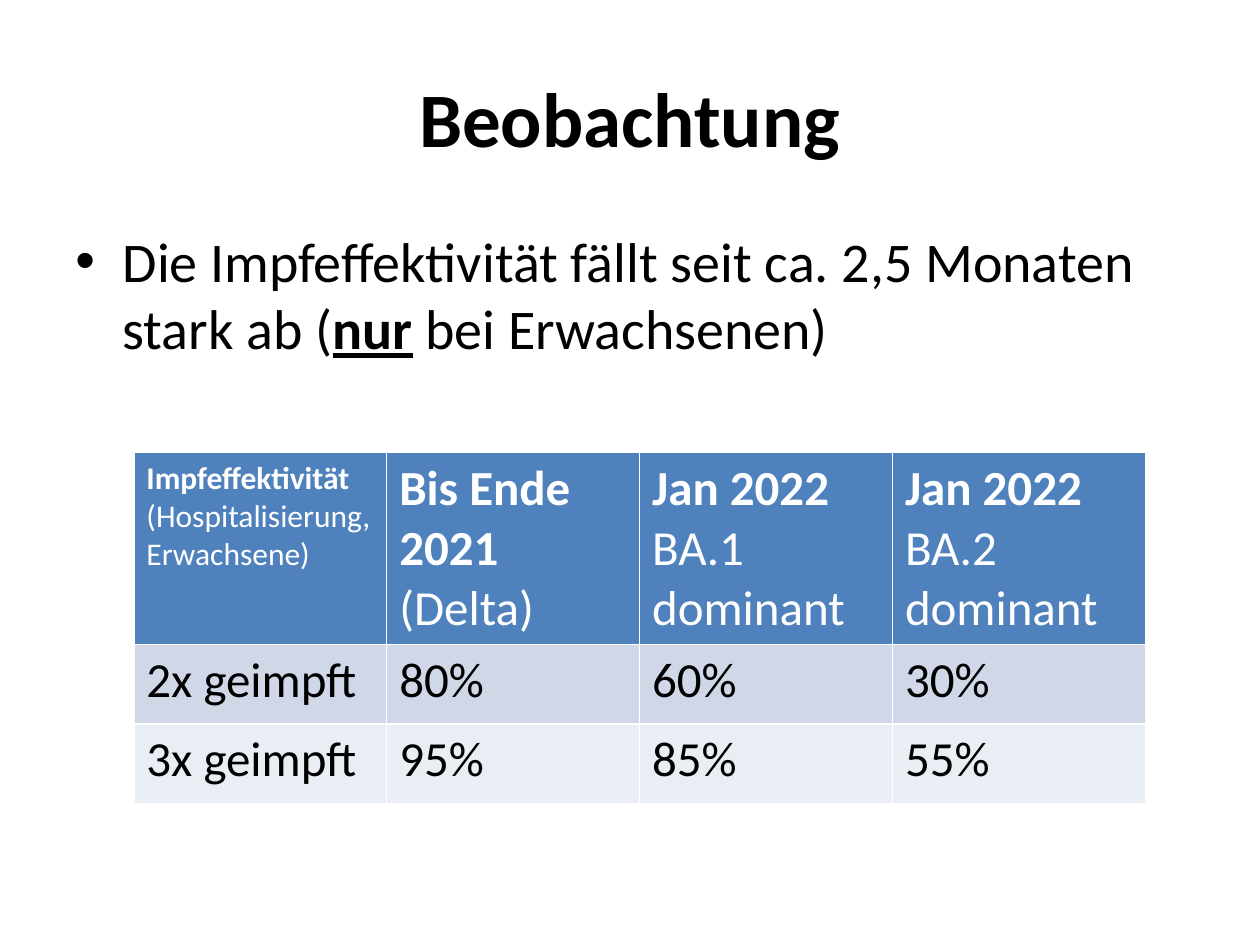
from lxml import etree
from pptx import Presentation
from pptx.dml.color import RGBColor
from pptx.enum.text import MSO_ANCHOR, PP_ALIGN
from pptx.oxml.ns import qn
from pptx.util import Pt

CENTER = PP_ALIGN.CENTER
MIDDLE = MSO_ANCHOR.MIDDLE
FONT = "Calibri"
COLORS = {"text": "000000", "header": "4F81BD", "header_text": "FFFFFF",
          "band1": "D0D8E8", "band2": "E9EDF4"}


def rgb(name):
    return RGBColor.from_string(COLORS[name])


def set_font(p, size, color, bold=False):
    p.font.name = FONT
    p.font.size = Pt(size)
    p.font.bold = bold
    p.font.color.rgb = rgb(color)


prs = Presentation()
prs.slide_width, prs.slide_height = Pt(720), Pt(540)
s = prs.slides.add_slide(prs.slide_layouts[5])

title = s.shapes.title
title.left, title.top, title.width, title.height = Pt(36), Pt(21.6), Pt(648), Pt(90)
tf = title.text_frame
tf.text = "Beobachtung"
tf.vertical_anchor = MIDDLE
p = tf.paragraphs[0]
p.alignment = CENTER
set_font(p, 44, "text", True)

body = s.shapes.add_textbox(Pt(36), Pt(126), Pt(648), Pt(356.4))
tf = body.text_frame
tf.word_wrap = True
p = tf.paragraphs[0]
p.space_before = Pt(6.4)
set_font(p, 32, "text")
for text, emphasis in [
    ("Die Impfeffektivität fällt seit ca. 2,5 Monaten stark ab (", False),
    ("nur", True),
    (" bei Erwachsenen)", False),
]:
    r = p.add_run()
    r.text = text
    if emphasis:
        r.font.bold = True
        r.font.underline = True
pPr = p._p.get_or_add_pPr()
pPr.set("marL", str(Pt(27)))
pPr.set("indent", str(-Pt(27)))
bullet_font = etree.Element(qn("a:buFont"), typeface="Arial")
bullet = etree.Element(qn("a:buChar"), char="•")
pPr.find(qn("a:spcBef")).addnext(bullet_font)
bullet_font.addnext(bullet)

headers = [
    ["Impfeffektivität", "(Hospitalisierung, Erwachsene)"],
    ["Bis Ende 2021", "(Delta)"],
    ["Jan 2022", "BA.1 dominant"],
    ["Jan 2022", "BA.2", "dominant"],
]
rows = [
    ["2x geimpft", "80%", "60%", "30%"],
    ["3x geimpft", "95%", "85%", "55%"],
]
heights = [109.7, 45.4, 45.4]
table = s.shapes.add_table(3, 4, Pt(76.5), Pt(258.7), Pt(578), Pt(sum(heights))).table
for row, height in zip(table.rows, heights):
    row.height = Pt(height)

for col, lines in enumerate(headers):
    cell = table.cell(0, col)
    cell.fill.solid()
    cell.fill.fore_color.rgb = rgb("header")
    cell.text = "\n".join(lines)
    for i, p in enumerate(cell.text_frame.paragraphs):
        set_font(p, 28 if col else 18, "header_text", i == 0)

for row, values in enumerate(rows, 1):
    for col, value in enumerate(values):
        cell = table.cell(row, col)
        cell.fill.solid()
        cell.fill.fore_color.rgb = rgb(f"band{row}")
        cell.text = value
        set_font(cell.text_frame.paragraphs[0], 28, "text")

prs.save("out.pptx")
